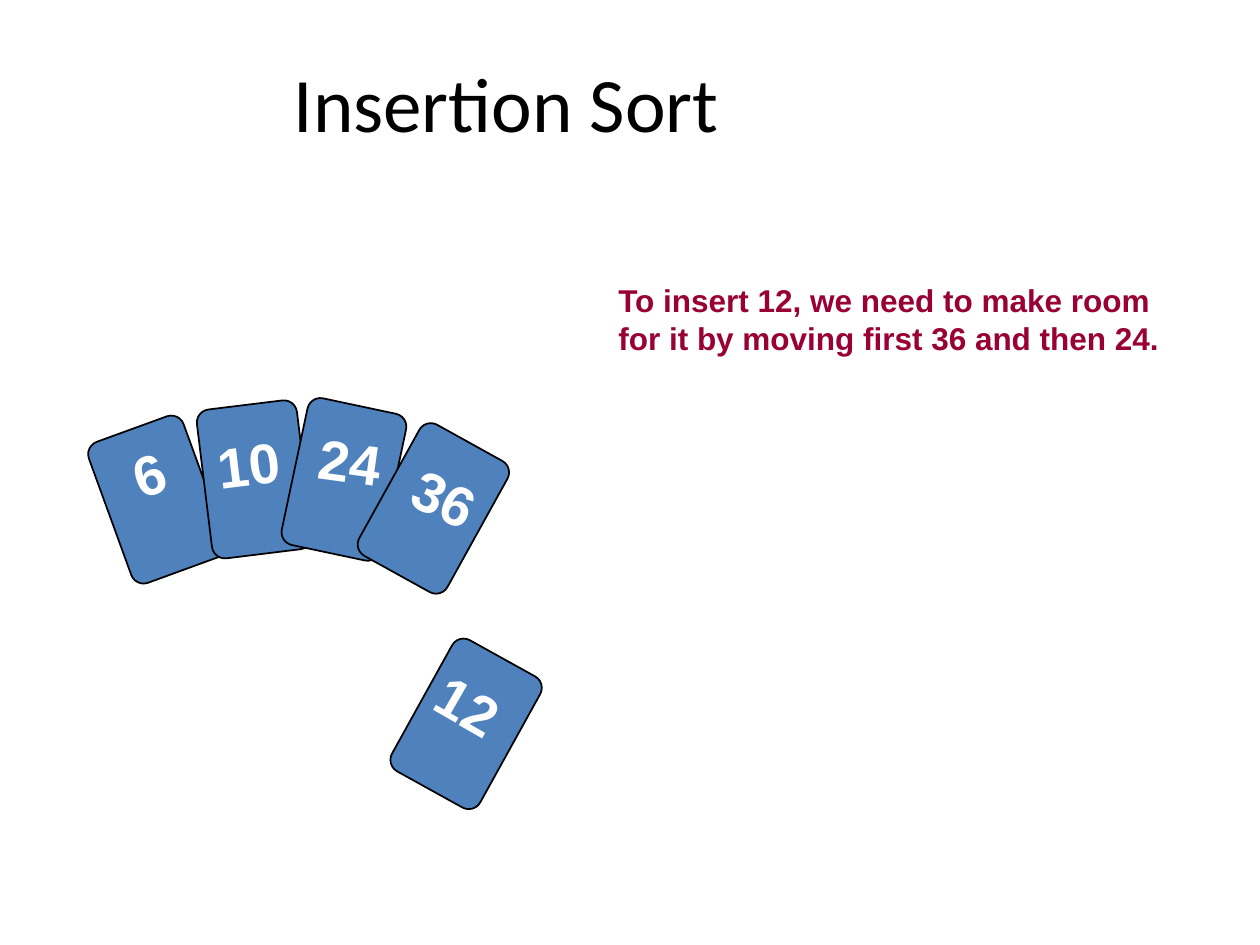
"""Build the insertion sort slide with a hand of cards."""
from pptx import Presentation
from pptx.dml.color import RGBColor
from pptx.enum.shapes import MSO_SHAPE
from pptx.enum.text import MSO_ANCHOR, MSO_AUTO_SIZE, PP_ALIGN
from pptx.util import Inches, Pt

CARD = MSO_SHAPE.ROUNDED_RECTANGLE
MIDDLE = MSO_ANCHOR.MIDDLE
FIT = MSO_AUTO_SIZE.SHAPE_TO_FIT_TEXT
CENTER = PP_ALIGN.CENTER


def rgb(color):
    return RGBColor.from_string(color)


def add_text(s, text, box, size, color, font="Arial", bold=True):
    sp = s.shapes.add_textbox(*[Inches(v) for v in box])
    tf = sp.text_frame
    tf.word_wrap = True
    tf.text = text
    r = tf.paragraphs[0].runs[0]
    r.font.name = font
    r.font.size = Pt(size)
    r.font.bold = bold
    r.font.color.rgb = rgb(color)
    return sp


prs = Presentation()
prs.slide_width = Inches(10)
prs.slide_height = Inches(7.5)
s = prs.slides.add_slide(prs.slide_layouts[6])

title = add_text(s, "Insertion Sort", (0.56, 0.67, 6.92, 0.28), 44, "000000", "Calibri", False)
title.text_frame.vertical_anchor = MIDDLE
title.text_frame.paragraphs[0].alignment = CENTER

note = "To insert 12, we need to make room for it by moving first 36 and then 24."
sp = add_text(s, note, (4.81, 2.18, 4.66, 0.7), 18, "990033")
sp.text_frame.auto_size = FIT

# number, card left, top, angle, label left, top, width, angle
cards = [
    ("6", 0.85, 3.37, 340, 0.96, 3.44, 0.45, 341),
    ("10", 1.62, 3.21, 353, 1.63, 3.36, 0.7, 353),
    ("24", 2.33, 3.21, 12, 2.44, 3.34, 0.7, 8),
    ("12", 3.3, 5.15, 29, 3.37, 5.28, 0.7, 30),
    ("36", 3.04, 3.44, 29, 3.19, 3.63, 0.7, 25),
]
for group in (cards[:3], cards[3:4], cards[4:]):
    for number, left, top, angle, *label in group:
        sp = s.shapes.add_shape(CARD, Inches(left), Inches(top), Inches(0.8), Inches(1.19))
        sp.adjustments[0] = 0.13
        sp.rotation = angle
        sp.shadow.inherit = False
        sp.fill.solid()
        sp.fill.fore_color.rgb = rgb("4F81BD")
        sp.line.color.rgb = rgb("000000")
        sp.line.width = Pt(1)
    for number, *card, left, top, width, angle in group:
        sp = add_text(s, number, (left, top, width, 0.63), 32, "FFFFFF")
        sp.rotation = angle
        sp.text_frame.word_wrap = False
        sp.text_frame.auto_size = FIT

prs.save("out.pptx")
